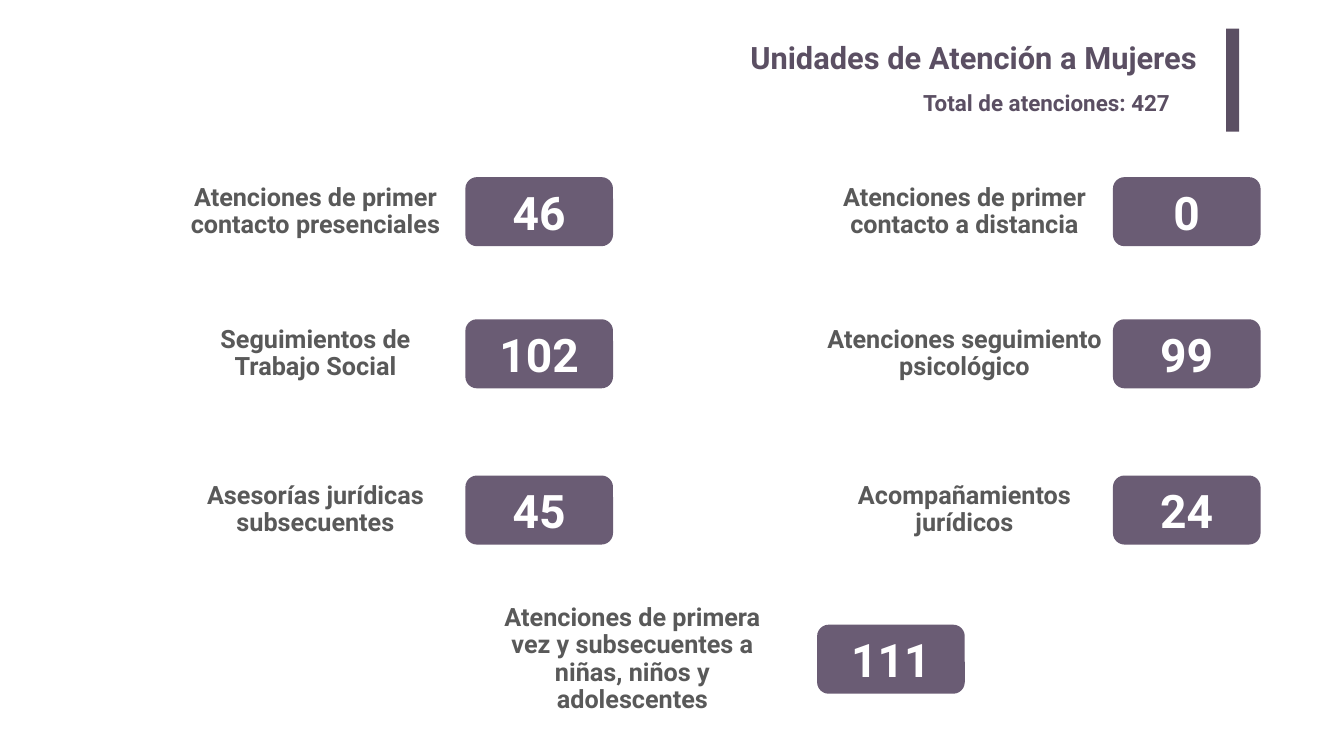
from dataclasses import dataclass

from pptx import Presentation
from pptx import util as u
from pptx.dml.color import RGBColor
from pptx.enum import shapes, text

WIDTH, HEIGHT = 26.67, 15
PILL_WIDTH, PILL_HEIGHT = 2.93, 1.37
FONT = "Roboto"
COLORS = {"heading": "5B4F63", "pill": "6A5C74", "label": "595959", "number": "FFFFFF"}


@dataclass(frozen=True)
class Column:
    label_center: float
    pill_center: float


@dataclass(frozen=True)
class Service:
    label: str
    count: int
    column: str
    row: int
    label_width: float
    label_height: float


COLUMNS = {
    "left": Column(6.26, 10.7),
    "right": Column(19.14, 23.55),
    "middle": Column(12.55, 17.68),
}
ROW_CENTERS = [4.2, 7.02, 10.12, 13.08]

SERVICES = [
    Service("Atenciones de primer contacto presenciales", 46, "left", 0, 5.48, 1.37),
    Service("Atenciones de primer contacto a distancia", 0, "right", 0, 5.16, 1.21),
    Service("Seguimientos de Trabajo Social", 102, "left", 1, 5.58, 1.41),
    Service("Atenciones seguimiento psicológico", 99, "right", 1, 7.81, 0.53),
    Service("Asesorías jurídicas subsecuentes", 45, "left", 2, 6.05, 0.8),
    Service("Acompañamientos jurídicos", 24, "right", 2, 6.46, 0.64),
    Service("Atenciones de primera vez y subsecuentes a niñas, niños y adolescentes",
            111, "middle", 3, 6, 0.49),
]


def inches(*lengths: float) -> list[int]:
    return [u.Inches(length) for length in lengths]


def centered(x: float, y: float, width: float, height: float) -> list[int]:
    return inches(x - width / 2, y - height / 2, width, height)


def write(shape, words: str, size: int, color: str, align, anchor, spacing: float = 1.0) -> None:
    frame = shape.text_frame
    frame.text = words
    frame.word_wrap = True
    frame.auto_size = text.MSO_AUTO_SIZE.NONE
    frame.vertical_anchor = anchor
    paragraph = frame.paragraphs[0]
    paragraph.alignment = align
    paragraph.line_spacing = spacing
    font = paragraph.font
    font.name, font.size, font.bold = FONT, u.Pt(size), True
    font.color.rgb = RGBColor.from_string(COLORS[color])


def add_block(slide, preset, box: list[int], color: str):
    block = slide.shapes.add_shape(preset, *box)
    block.shadow.inherit = False
    block.fill.solid()
    block.fill.fore_color.rgb = RGBColor.from_string(COLORS[color])
    block.line.fill.background()
    return block


def add_heading(slide) -> None:
    title = slide.shapes.title
    title.left, title.top, title.width, title.height = inches(3.66, 0.67, 20.3, 1.02)
    write(title, "Unidades de Atención a Mujeres", 44, "heading",
          text.PP_ALIGN.RIGHT, text.MSO_ANCHOR.TOP)
    frame = title.text_frame
    frame.margin_left = frame.margin_right = u.Inches(0.2)
    frame.margin_top = frame.margin_bottom = u.Inches(0.1)

    add_block(slide, shapes.MSO_SHAPE.RECTANGLE, inches(24.33, 0.57, 0.26, 2.04), "heading")
    total = slide.shapes.add_textbox(*inches(18.22, 1.71, 5.92, 0.64))
    write(total, f"Total de atenciones: {sum(service.count for service in SERVICES)}",
          32, "heading", text.PP_ALIGN.LEFT, text.MSO_ANCHOR.TOP)


def add_service(slide, service: Service) -> None:
    column, y = COLUMNS[service.column], ROW_CENTERS[service.row]
    label = slide.shapes.add_textbox(
        *centered(column.label_center, y, service.label_width, service.label_height))
    write(label, service.label, 36, "label", text.PP_ALIGN.CENTER, text.MSO_ANCHOR.MIDDLE, 0.9)
    pill = add_block(slide, shapes.MSO_SHAPE.ROUNDED_RECTANGLE,
                     centered(column.pill_center, y, PILL_WIDTH, PILL_HEIGHT), "pill")
    write(pill, str(service.count), 66, "number", text.PP_ALIGN.CENTER, text.MSO_ANCHOR.MIDDLE)


def main() -> None:
    deck = Presentation()
    deck.slide_width, deck.slide_height = inches(WIDTH, HEIGHT)
    slide = deck.slides.add_slide(deck.slide_layouts.get_by_name("Title Only"))
    add_heading(slide)
    for service in SERVICES:
        add_service(slide, service)
    deck.save("out.pptx")


if __name__ == "__main__":
    main()
